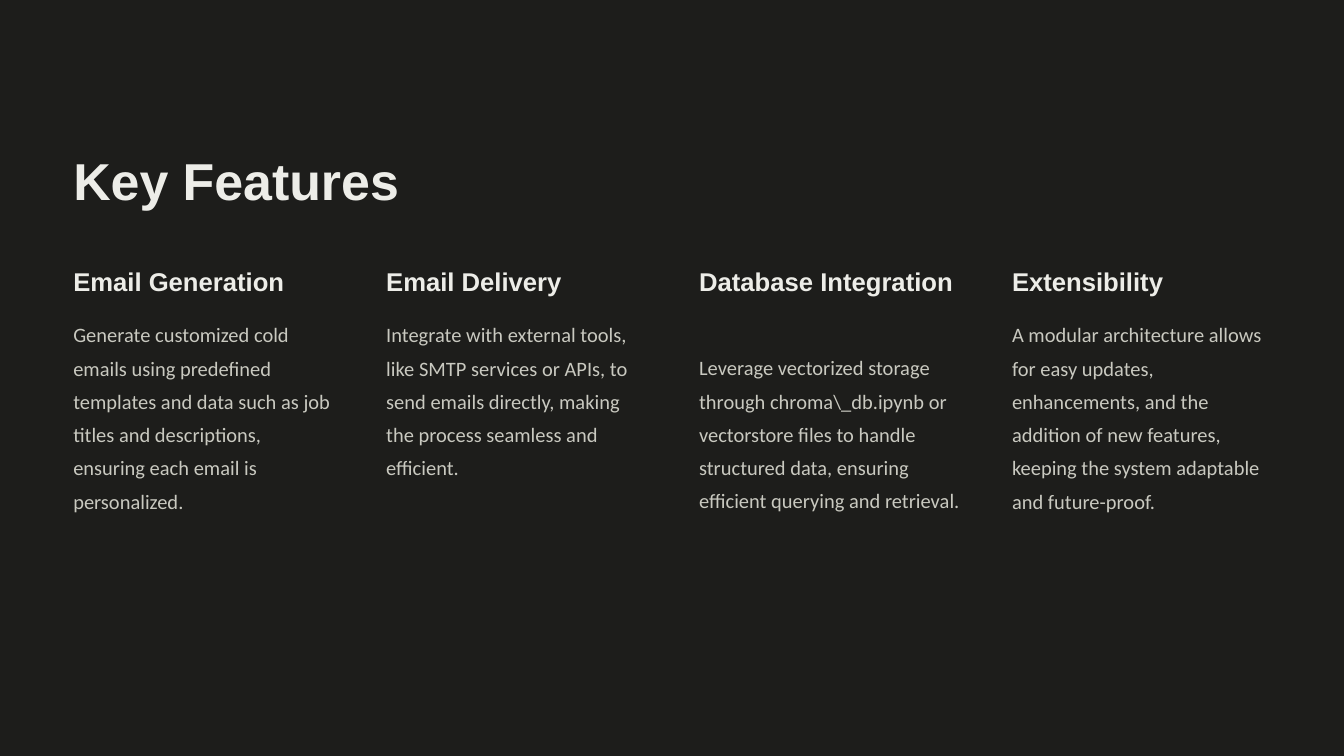
from pptx import Presentation
from pptx import util as u
from pptx.dml.color import RGBColor
from pptx.enum import shapes, text

BACKDROP = RGBColor(0x0D, 0x0D, 0x0C)
PANEL = RGBColor(0x1D, 0x1D, 0x1B)
HEADING = RGBColor(0xED, 0xED, 0xE8)
BODY = RGBColor(0xC9, 0xC9, 0xC0)

WIDTH, HEIGHT = 20, 11.25
LEFT, LAST_LEFT = 1.09, 15.06
COLUMN_WIDTH = 3.89
HEADING_TOP = 3.94
BODY_GAP = 0.2

FEATURES = [
    ("Email Generation", 0.53, 3.58,
     "Generate customized cold emails using predefined templates and data "
     "such as job titles and descriptions, ensuring each email is personalized."),
    ("Email Delivery", 0.53, 3.08,
     "Integrate with external tools, like SMTP services or APIs, to send "
     "emails directly, making the process seamless and efficient."),
    ("Database Integration", 1.02, 3.58,
     "Leverage vectorized storage through chroma\\_db.ipynb or vectorstore "
     "files to handle structured data, ensuring efficient querying and retrieval."),
    ("Extensibility", 0.53, 3.58,
     "A modular architecture allows for easy updates, enhancements, and the "
     "addition of new features, keeping the system adaptable and future-proof."),
]


class FeatureSlide:
    heading_font = "Arial"
    body_font = "Calibri"

    def __init__(self, slide):
        self.slide = slide

    def background(self, color):
        panel = self.slide.shapes.add_shape(
            shapes.MSO_SHAPE.RECTANGLE, 0, 0, u.Inches(WIDTH), u.Inches(HEIGHT))
        panel.shadow.inherit = False
        panel.fill.solid()
        panel.fill.fore_color.rgb = color
        panel.line.fill.background()

    def label(self, words, left, top, width, height, size, spacing, font, color, bold):
        box = self.slide.shapes.add_textbox(
            u.Inches(left), u.Inches(top), u.Inches(width), u.Inches(height))
        frame = box.text_frame
        frame.word_wrap = True
        frame.auto_size = text.MSO_AUTO_SIZE.SHAPE_TO_FIT_TEXT
        frame.margin_left = frame.margin_right = 0
        frame.margin_top = frame.margin_bottom = 0
        paragraph = frame.paragraphs[0]
        paragraph.line_spacing = u.Pt(spacing)
        run = paragraph.add_run()
        run.text = words
        run.font.name = font
        run.font.size = u.Pt(size)
        run.font.bold = bold
        run.font.color.rgb = color

    def heading(self, words, left, top, width, height, size, spacing):
        self.label(words, left, top, width, height, size, spacing,
                   self.heading_font, HEADING, True)

    def body(self, words, left, top, width, height):
        self.label(words, left, top, width, height, 21.9, 35.6,
                   self.body_font, BODY, False)


def main():
    deck = Presentation()
    deck.slide_width = u.Inches(WIDTH)
    deck.slide_height = u.Inches(HEIGHT)
    page = FeatureSlide(deck.slides.add_slide(deck.slide_layouts[6]))

    for color in (BACKDROP, PANEL):
        page.background(color)
    page.heading("Key Features", LEFT, 2.18, 7.75, 1.03, 55.6, 69.4)

    pitch = (LAST_LEFT - LEFT) / (len(FEATURES) - 1)
    for column, (feature, heading_height, body_height, description) in enumerate(FEATURES):
        left = LEFT + column * pitch
        page.heading(feature, left, HEADING_TOP, COLUMN_WIDTH, heading_height, 27.5, 34.4)
        body_top = HEADING_TOP + heading_height + BODY_GAP
        page.body(description, left, body_top, COLUMN_WIDTH, body_height)

    deck.save("out.pptx")


if __name__ == "__main__":
    main()
